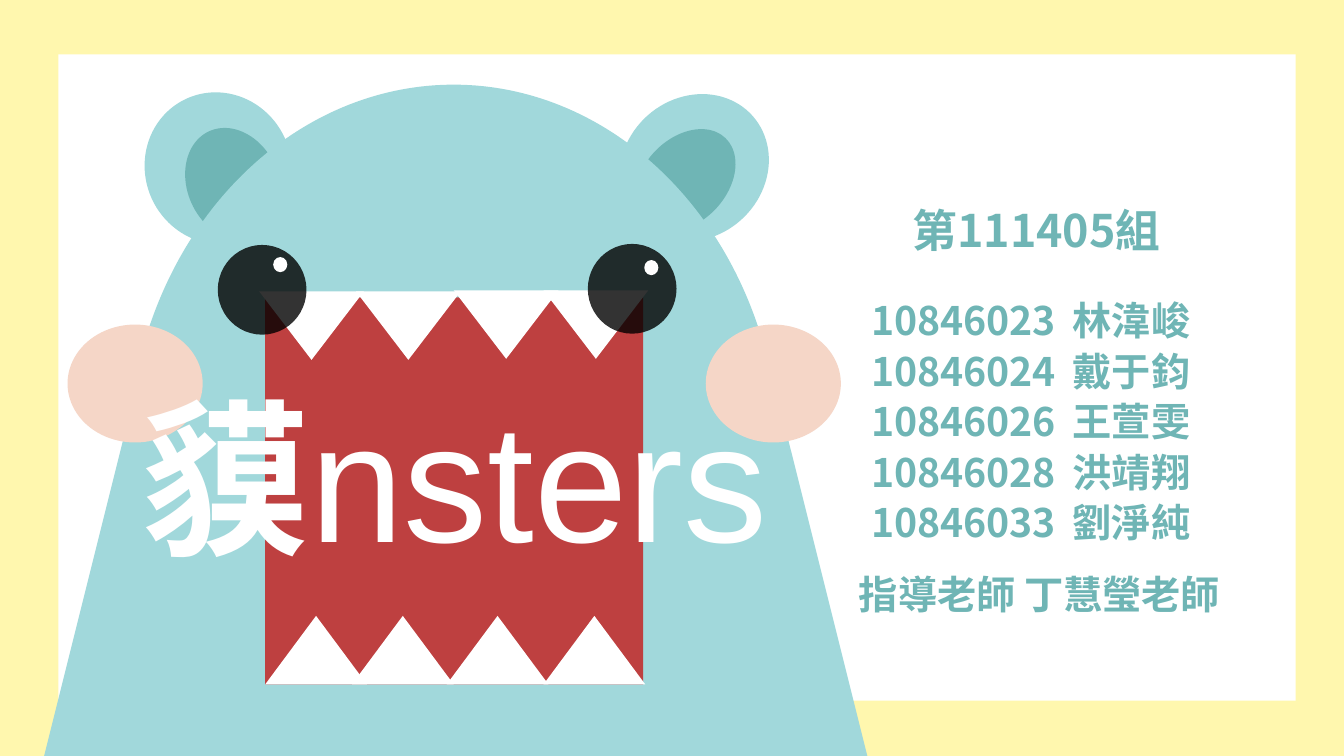
from lxml import etree
from pptx import Presentation
from pptx.dml.color import RGBColor
from pptx.enum import shapes, text
from pptx.oxml import ns
from pptx.util import Inches, Pt

YELLOW = RGBColor(0xFF, 0xF7, 0xAE)
WHITE = RGBColor(0xFF, 0xFF, 0xFF)
BLACK = RGBColor(0x00, 0x00, 0x00)
BLUE = RGBColor(0xA1, 0xD8, 0xDB)
TEAL = RGBColor(0x6F, 0xB5, 0xB5)
RED = RGBColor(0xC4, 0x26, 0x26)
PINK = RGBColor(0xF5, 0xD6, 0xC7)
KIND = shapes.MSO_SHAPE

deck = Presentation()
deck.slide_width, deck.slide_height = Inches(13.33), Inches(7.5)
page = deck.slides.add_slide(deck.slide_layouts[0])


def add_figure(kind, left, top, width, height, color, rotation=0, opacity=100):
    figure = page.shapes.add_shape(kind, Inches(left), Inches(top), Inches(width), Inches(height))
    figure.shadow.inherit = False
    figure.line.fill.background()
    figure.fill.solid()
    figure.fill.fore_color.rgb = color
    figure.rotation = rotation
    if opacity < 100:
        shade = figure.element.spPr.find(".//" + ns.qn("a:srgbClr"))
        etree.SubElement(shade, ns.qn("a:alpha"), val=str(opacity * 1000))


def add_span(para, words, size, color, font_name, bold=True):
    span = para.add_run()
    span.text = words
    span.font.name, span.font.size, span.font.bold = font_name, Pt(size), bold
    span.font.color.rgb = color
    latin = span.font._element.find(ns.qn("a:latin"))
    latin.addnext(latin.makeelement(ns.qn("a:ea"), {"typeface": font_name}))


add_figure(KIND.RECTANGLE, 0, 0, 13.33, 7.5, YELLOW)
add_figure(KIND.RECTANGLE, 0.58, 0.54, 12.27, 6.41, WHITE)

add_figure(KIND.TRAPEZOID, 0.31, 3.79, 8.42, 4.22, BLUE)
add_figure(KIND.OVAL, 1.44, 0.91, 1.45, 1.52, BLUE, 335.6)
add_figure(KIND.OVAL, 1.86, 1.25, 0.91, 1.16, TEAL, 335.6)
add_figure(KIND.OVAL, 6.19, 0.89, 1.39, 1.55, BLUE, 48.4)
add_figure(KIND.OVAL, 6.38, 1.21, 0.83, 1.16, TEAL, 43.5)
add_figure(KIND.OVAL, 1.26, 0.84, 6.48, 7.54, BLUE)

add_figure(KIND.RECTANGLE, 2.63, 2.95, 3.75, 3.84, RED, opacity=85)
for left in (2.63, 3.49, 4.43, 5.39):
    add_figure(KIND.ISOSCELES_TRIANGLE, left, 6.11, 1.01, 0.68, WHITE)
for left, top in ((5.39, 2.88), (4.5, 2.88), (3.53, 2.89), (2.57, 2.89)):
    add_figure(KIND.ISOSCELES_TRIANGLE, left, top, 1.04, 0.68, WHITE, 180)

for left, top in ((2.16, 2.43), (5.83, 2.42)):
    add_figure(KIND.OVAL, left, top, 0.88, 0.89, BLACK, opacity=80)
for left, top in ((2.71, 2.55), (6.39, 2.58)):
    add_figure(KIND.OVAL, left, top, 0.14, 0.15, WHITE)
for left in (0.67, 7):
    add_figure(KIND.OVAL, left, 3.22, 1.34, 1.17, PINK)

title, members = page.shapes.title, page.placeholders[1]
for box, left, top, width, height in (
    (title, -0.14, 3.63, 9.31, 2.16),
    (members, 8.54, 2.86, 4.18, 2.59),
):
    box.left, box.top = Inches(left), Inches(top)
    box.width, box.height = Inches(width), Inches(height)
    box.text_frame.word_wrap = True
    box.text_frame.auto_size = text.MSO_AUTO_SIZE.NONE
    box.element.getparent().append(box.element)

title.text_frame.vertical_anchor = text.MSO_ANCHOR.BOTTOM
para = title.text_frame.paragraphs[0]
para.alignment = text.PP_ALIGN.CENTER
para.line_spacing = 0.9
add_span(para, "貘", 120, WHITE, "Arial")
add_span(para, "nsters", 120, WHITE, "Arial", bold=False)

members.text_frame.vertical_anchor = text.MSO_ANCHOR.TOP
students = (
    ("10846023", "林湋峻"),
    ("10846024", "戴于鈞"),
    ("10846026", "王萱雯"),
    ("10846028", "洪靖翔"),
    ("10846033", "劉淨純"),
)
for index, (number, name) in enumerate(students):
    para = members.text_frame.add_paragraph() if index else members.text_frame.paragraphs[0]
    para.alignment = text.PP_ALIGN.LEFT
    para.line_spacing = Pt(36)
    para.space_before = Pt(0)
    tabs = etree.SubElement(para._p.get_or_add_pPr(), ns.qn("a:tabLst"))
    etree.SubElement(tabs, ns.qn("a:tab"), pos=str(Inches(2.27)), algn="l")
    add_span(para, number + "\t" + name, 28, TEAL, "Noto Sans CJK SC")

for words, size, left, top, width, height in (
    ("第111405組", 32, 8.95, 1.96, 3.03, 0.94),
    ("指導老師 丁慧瑩老師", 28, 8.42, 5.61, 4.69, 0.88),
):
    box = page.shapes.add_textbox(Inches(left), Inches(top), Inches(width), Inches(height))
    box.text_frame.word_wrap = True
    add_span(box.text_frame.paragraphs[0], words, size, TEAL, "Noto Sans CJK SC")

deck.save("out.pptx")
